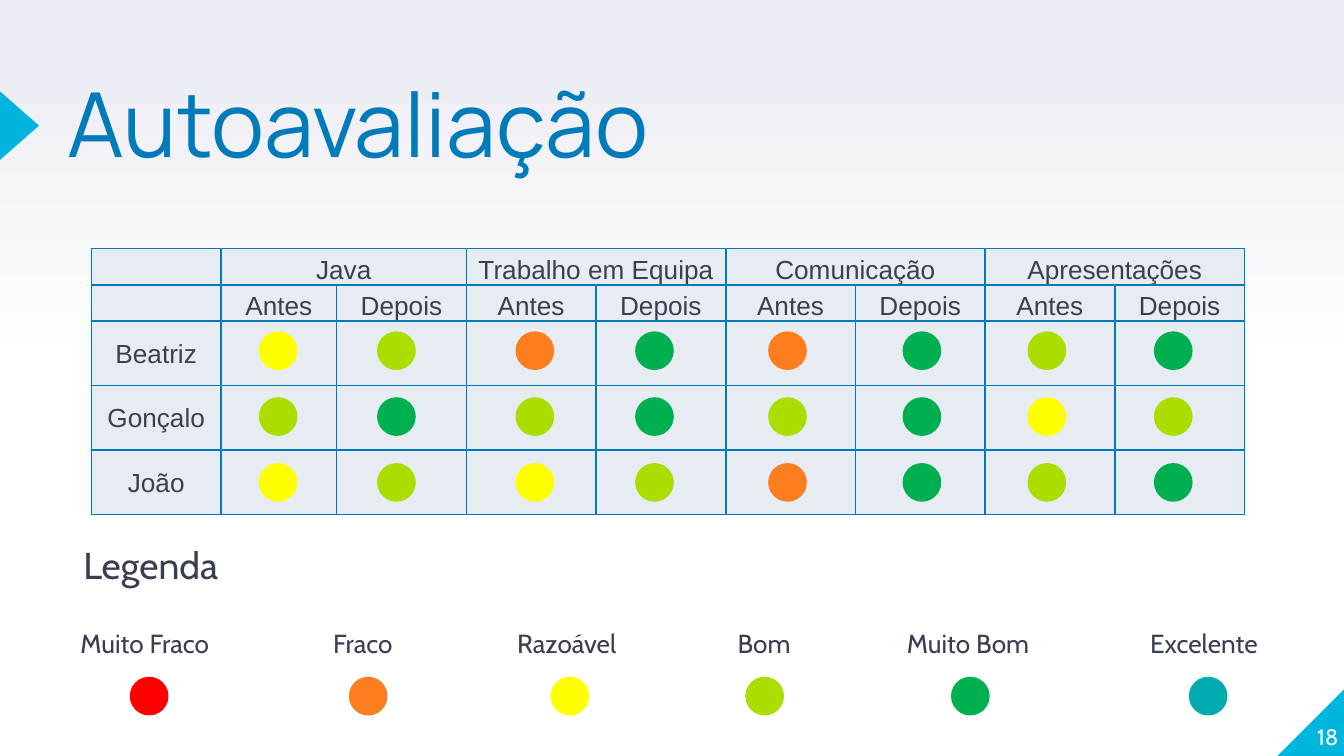
from dataclasses import dataclass
from lxml.etree import SubElement
from pptx import Presentation
from pptx.dml.color import RGBColor as RGB
from pptx.enum.shapes import MSO_SHAPE as SHAPE
from pptx.enum.text import MSO_ANCHOR as ANCHOR, MSO_AUTO_SIZE as AUTO, PP_ALIGN as ALIGN
from pptx.oxml.ns import qn
from pptx.util import Inches, Pt


@dataclass(frozen=True)
class Theme:
    title_font: str = "Manrope"
    body_font: str = "Cabin"
    table_font: str = "Arial"
    title_size: int = 48
    heading_size: int = 20
    text_size: int = 14
    number_size: int = 12
    accent: str = "00B5DD"
    blue: str = "007BB9"
    dark: str = "3A3F50"
    cell: str = "E7ECF3"
    white: str = "FFFFFF"
    haze: str = "E9EAF2"


RATINGS = {
    "Muito Fraco": "FF0000",
    "Fraco": "FD7E1F",
    "Razoável": "FFFF00",
    "Bom": "A9DE00",
    "Muito Bom": "00B050",
    "Excelente": "00ACB0",
}
SKILLS = ["Java", "Trabalho em Equipa", "Comunicação", "Apresentações"]
SCORES = {
    "Beatriz": ["Razoável", "Bom", "Fraco", "Muito Bom",
                "Fraco", "Muito Bom", "Bom", "Muito Bom"],
    "Gonçalo": ["Bom", "Muito Bom", "Bom", "Muito Bom",
                "Bom", "Muito Bom", "Razoável", "Bom"],
    "João": ["Razoável", "Bom", "Razoável", "Bom",
             "Fraco", "Muito Bom", "Bom", "Muito Bom"],
}
DOT_LEFTS = [1.94, 2.82, 3.85, 4.74, 5.73, 6.73, 7.66, 8.6]
DOT_TOP, DOT_STEP = 2.48, 0.49
LEGEND = [
    ("Muito Fraco", 0.5, 1.22, 0.98),
    ("Fraco", 2.38, 0.7, 2.61),
    ("Razoável", 3.75, 0.98, 4.11),
    ("Bom", 5.39, 0.6, 5.56),
    ("Muito Bom", 6.65, 1.14, 7.09),
    ("Excelente", 8.46, 1.06, 8.86),
]


class Deck:
    def __init__(self, slide, theme):
        self.slide, self.theme = slide, theme

    def background(self):
        fill = self.slide.background.fill
        fill.gradient()
        fill.gradient_angle = 90
        stops = [(0.5, self.theme.white), (1, self.theme.haze)]
        for stop, (position, color) in zip(fill.gradient_stops, stops):
            stop.position = position
            stop.color.rgb = RGB.from_string(color)

    def shape(self, kind, left, top, width, height, color, line=0):
        sp = self.slide.shapes.add_shape(
            kind, Inches(left), Inches(top), Inches(width), Inches(height))
        sp.shadow.inherit = False
        sp.fill.solid()
        sp.fill.fore_color.rgb = RGB.from_string(color)
        if line:
            sp.line.color.rgb = RGB.from_string(color)
            sp.line.width = Pt(line)
        else:
            sp.line.fill.background()
        return sp

    def dot(self, left, top, rating):
        return self.shape(SHAPE.OVAL, left, top, 0.26, 0.26, RATINGS[rating], 2)

    def style(self, p, font, size, color):
        for r in p.runs:
            r.font.name = font
            r.font.size = Pt(size)
            r.font.color.rgb = RGB.from_string(color)

    def text(self, text, left, top, width, height, font, size, color):
        sp = self.slide.shapes.add_textbox(
            Inches(left), Inches(top), Inches(width), Inches(height))
        tf = sp.text_frame
        tf.text = text
        tf.word_wrap = True
        tf.margin_left = tf.margin_right = tf.margin_top = tf.margin_bottom = 0
        self.style(tf.paragraphs[0], font, size, color)
        return tf

    def label(self, text, left, top, width):
        t = self.theme
        tf = self.text(text, left, top, width, 0.34, t.body_font, t.text_size, t.dark)
        tf.margin_left = tf.margin_right = Inches(0.1)
        tf.margin_top = tf.margin_bottom = Inches(0.05)
        tf.word_wrap = False
        tf.auto_size = AUTO.SHAPE_TO_FIT_TEXT

    def cell(self, cell, text, anchor):
        t = self.theme
        cell.margin_left = cell.margin_right = cell.margin_top = Inches(0.01)
        cell.margin_bottom = 0
        cell.vertical_anchor = anchor
        p = cell.text_frame.paragraphs[0]
        p.text = text
        p.alignment = ALIGN.CENTER
        self.style(p, t.table_font, t.text_size, t.dark)
        p._p.get_or_add_endParaRPr().set("sz", str(t.text_size * 100))
        tc_pr = cell._tc.get_or_add_tcPr()
        for side in ("lnL", "lnR", "lnT", "lnB"):
            ln = SubElement(tc_pr, qn(f"a:{side}"), w=str(Pt(1)))
            SubElement(SubElement(ln, qn("a:solidFill")), qn("a:srgbClr"), val=t.blue)
        cell.fill.solid()
        cell.fill.fore_color.rgb = RGB.from_string(t.cell)

    def table(self, rows, left, top, widths, heights):
        frame = self.slide.shapes.add_table(
            len(heights), len(widths), Inches(left), Inches(top),
            Inches(sum(widths)), Inches(sum(heights)))
        table = frame.table
        table.first_row = table.horz_banding = False
        for column, width in zip(table.columns, widths):
            column.width = Inches(width)
        for row, height in zip(table.rows, heights):
            row.height = Inches(height)
        for i, row in enumerate(rows):
            for j, text in enumerate(row):
                self.cell(table.cell(i, j), text, ANCHOR.BOTTOM if i < 2 else ANCHOR.MIDDLE)
        return table


def main():
    prs = Presentation()
    prs.slide_width = Inches(10)
    prs.slide_height = prs.slide_width * 9 // 16
    t = Theme()
    deck = Deck(prs.slides.add_slide(prs.slide_layouts[6]), t)

    deck.background()
    corner = deck.shape(SHAPE.RIGHT_TRIANGLE, 9.5, 5.12, 0.51, 0.51, t.accent)
    corner._element.spPr.get_or_add_xfrm().set("flipH", "1")
    marker = deck.shape(SHAPE.ISOSCELES_TRIANGLE, -0.11, 0.79, 0.51, 0.29, t.accent)
    marker.rotation = 90

    title = deck.text("Autoavaliação", 0.5, 0.66, 6.17, 1.18,
                      t.title_font, t.title_size, t.blue)
    title.paragraphs[0].line_spacing = 0.8

    heading = deck.text("Legenda", 0.5, 4, 1.94, 0.53, t.body_font, t.heading_size, t.dark)
    p = heading.paragraphs[0]
    p.line_spacing = 1.1
    p.space_before = Pt(6)
    p._p.get_or_add_pPr().set("marL", str(Inches(0.12)))

    number = deck.text("18", 9.46, 5.07, 0.5, 0.51, t.body_font, t.number_size, t.white)
    number.vertical_anchor = ANCHOR.BOTTOM
    number.paragraphs[0].alignment = ALIGN.RIGHT

    skill_row = [""] + [text for skill in SKILLS for text in (skill, "")]
    phase_row = [""] + ["Antes", "Depois"] * len(SKILLS)
    people = [[name] + [""] * len(scores) for name, scores in SCORES.items()]
    wide = (8.58 - 0.86) / 8
    table = deck.table([skill_row, phase_row] + people, 0.68, 1.85,
                       [wide, 0.86] + [wide] * 7, [0.27] * 2 + [0.48] * 3)
    for j in range(1, 9, 2):
        table.cell(0, j).merge(table.cell(0, j + 1))

    for i, scores in enumerate(SCORES.values()):
        for left, rating in zip(DOT_LEFTS, scores):
            deck.dot(left, DOT_TOP + i * DOT_STEP, rating)

    for rating, left, width, dot_left in LEGEND:
        deck.label(rating, left, 4.62, width)
        deck.dot(dot_left, 5.05, rating)

    prs.save("out.pptx")


if __name__ == "__main__":
    main()
